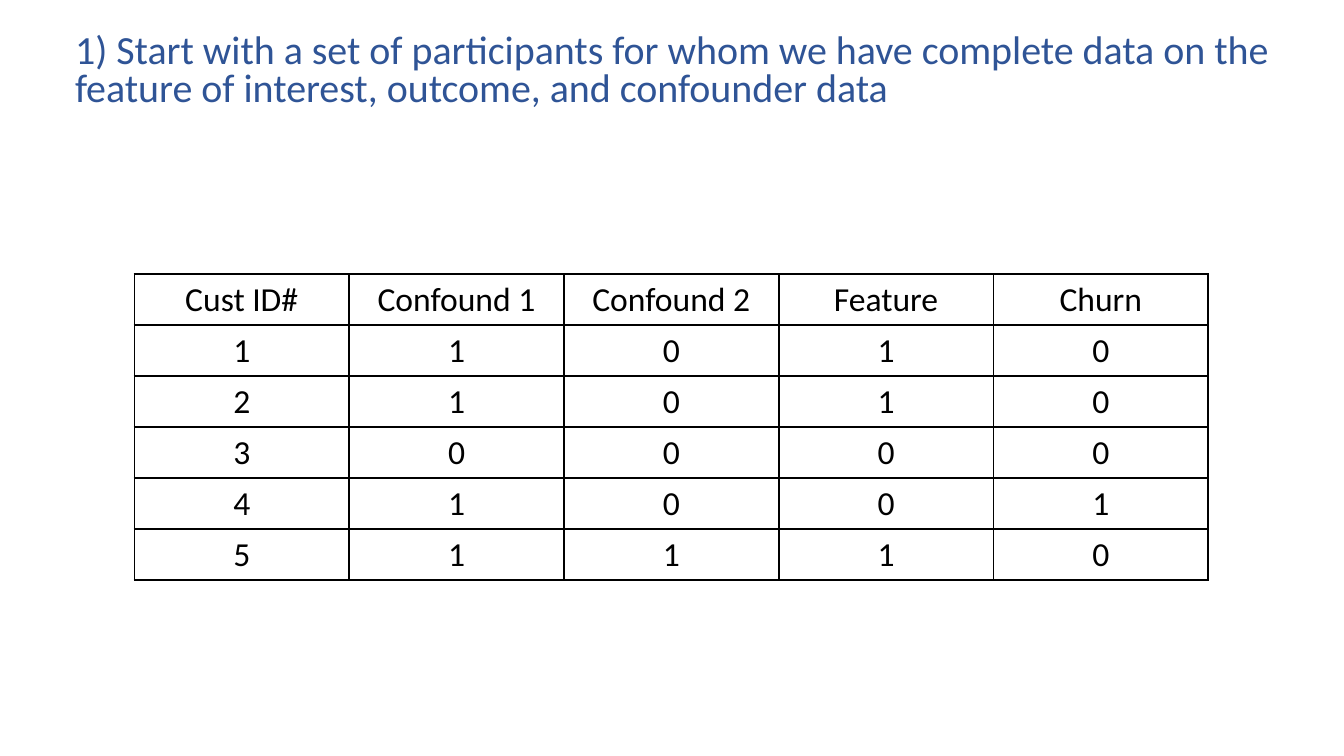
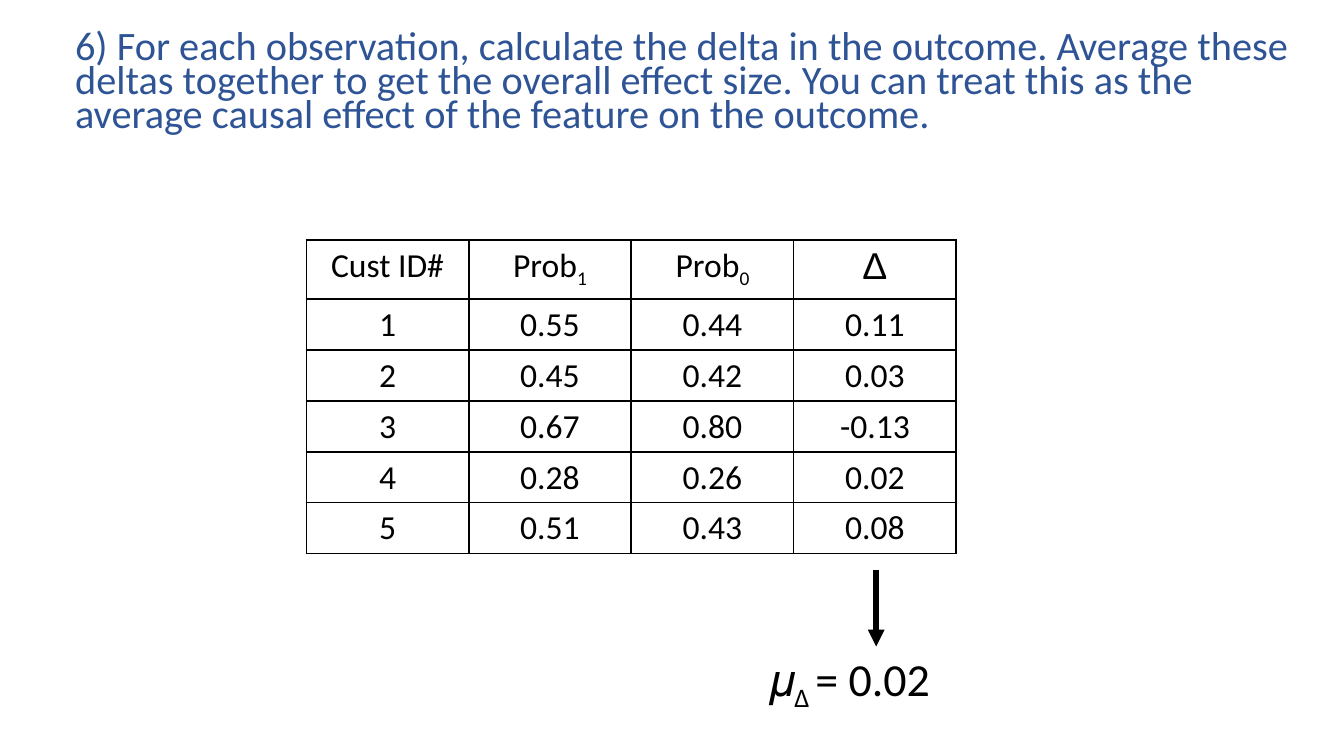
from lxml.etree import SubElement
from pptx import Presentation
from pptx.dml.color import RGBColor
from pptx.enum.shapes import MSO_CONNECTOR
from pptx.enum.text import MSO_ANCHOR, PP_ALIGN
from pptx.oxml.ns import qn
from pptx.util import Cm, Pt

COLORS = {"title": "2F5496", "ink": "000000"}
BODY_FONT = "Calibri"
DELTA_FONT = "Arial"

SLIDES = [
    {
        "title": "1) Start with a set of participants for whom we have complete data on the "
                 "feature of interest, outcome, and confounder data",
        "title_size": 21.4,
        "title_spacing": 0.8,
        "left": 2.54, "top": 5.18, "column_width": 4.06,
        "header_height": 0.76, "row_height": 0.76,
        "rows": [
            ["Cust ID#", "Confound 1", "Confound 2", "Feature", "Churn"],
            ["1", "1", "0", "1", "0"],
            ["2", "1", "0", "1", "0"],
            ["3", "0", "0", "0", "0"],
            ["4", "1", "0", "0", "1"],
            ["5", "1", "1", "1", "0"],
        ],
    },
    {
        "title": "6) For each observation, calculate the delta in the outcome. Average these "
                 "deltas together to get the overall effect size. You can treat this as the "
                 "average causal effect of the feature on the outcome.",
        "title_size": 21.6,
        "title_spacing": 0.7,
        "left": 5.79, "top": 4.54, "column_width": 3.07,
        "header_height": 1.11, "row_height": 0.96,
        "rows": [
            ["Cust ID#", "Prob_1", "Prob_0", "Δ"],
            ["1", "0.55", "0.44", "0.11"],
            ["2", "0.45", "0.42", "0.03"],
            ["3", "0.67", "0.80", "-0.13"],
            ["4", "0.28", "0.26", "0.02"],
            ["5", "0.51", "0.43", "0.08"],
        ],
    },
]


def write(paragraph, text, size, color="ink", font=BODY_FONT):
    for index, part in enumerate(text.split("_")):
        run = paragraph.add_run()
        run.text = part
        if index % 2:
            run._r.get_or_add_rPr().set("baseline", "-25000")
    paragraph.font.name = font
    paragraph.font.size = Pt(size)
    paragraph.font.color.rgb = RGBColor.from_string(COLORS[color])


def add_text(slide, left, top, width, text, size, spacing, color="ink", inset=0.18):
    frame = slide.shapes.add_textbox(Cm(left), Cm(top), Cm(width), Cm(1.55)).text_frame
    frame.word_wrap = True
    frame.vertical_anchor = MSO_ANCHOR.TOP
    frame.margin_left = Cm(inset)
    frame.margin_right = frame.margin_top = frame.margin_bottom = Cm(0.18)
    paragraph = frame.paragraphs[0]
    paragraph.line_spacing = spacing
    write(paragraph, text, size, color)


presentation = Presentation()
presentation.slide_width = Cm(25.4)
presentation.slide_height = Cm(14.29)

for content in SLIDES:
    slide = presentation.slides.add_slide(presentation.slide_layouts[6])
    add_text(slide, 1.24, 0.46, 23.55, content["title"], content["title_size"],
             content["title_spacing"], "title")

    rows = content["rows"]
    column_count = len(rows[0])
    heights = [content["header_height"]] + [content["row_height"]] * (len(rows) - 1)
    table = slide.shapes.add_table(
        len(rows), column_count, Cm(content["left"]), Cm(content["top"]),
        Cm(content["column_width"] * column_count), Cm(sum(heights))).table
    table.first_row = table.horz_banding = False
    for column in table.columns:
        column.width = Cm(content["column_width"])
    for row, height in zip(table.rows, heights):
        row.height = Cm(height)

    for row, values in zip(table.rows, rows):
        for cell, value in zip(row.cells, values):
            cell.margin_left = cell.margin_right = Cm(0.2)
            cell.margin_top = cell.margin_bottom = Cm(0.1)
            for side in ("lnL", "lnR", "lnT", "lnB"):
                border = SubElement(cell._tc.get_or_add_tcPr(), qn(f"a:{side}"), w=str(Pt(1)))
                border_fill = SubElement(border, qn("a:solidFill"))
                SubElement(border_fill, qn("a:srgbClr"), val=COLORS["ink"])
            cell.fill.background()
            paragraph = cell.text_frame.paragraphs[0]
            paragraph.alignment = PP_ALIGN.CENTER
            if value == "Δ":
                write(paragraph, value, 20, font=DELTA_FONT)
            else:
                write(paragraph, value, 18)

arrow = slide.shapes.add_connector(
    MSO_CONNECTOR.STRAIGHT, Cm(16.56), Cm(10.77), Cm(16.56), Cm(12.22))
arrow.line.color.rgb = RGBColor.from_string(COLORS["ink"])
arrow.line.width = Pt(3)
SubElement(arrow.line._get_or_add_ln(), qn("a:tailEnd"), type="triangle")
SubElement(arrow._element.spPr, qn("a:effectLst"))

add_text(slide, 14.15, 12.32, 5, "𝜇_Δ _= 0.02", 24.6, 0.7, inset=0.38)

presentation.save("out.pptx")
